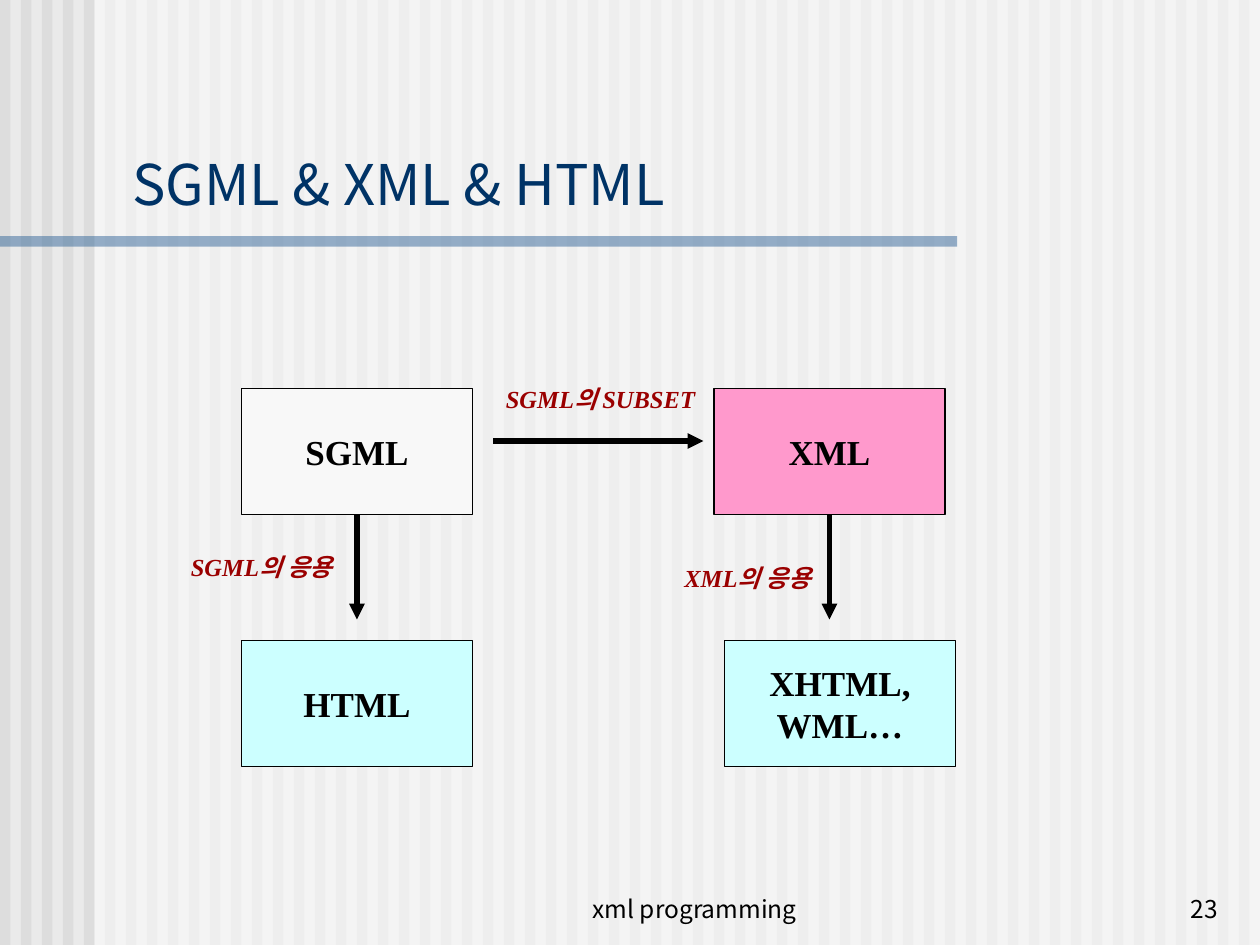
"""Build a slide that relates SGML, XML and HTML."""
import pptx
import pptx.dml.color
import pptx.enum.shapes
import pptx.enum.text
import pptx.oxml.ns
import pptx.util
import lxml.etree

Pt = pptx.util.Pt
RGBColor = pptx.dml.color.RGBColor
ALIGN = pptx.enum.text.PP_ALIGN
ANCHOR = pptx.enum.text.MSO_ANCHOR
qn = pptx.oxml.ns.qn

BLACK = RGBColor(0x00, 0x00, 0x00)
WHITE = RGBColor(0xFF, 0xFF, 0xFF)
PAPER = RGBColor(0xEA, 0xEA, 0xEA)
STRIPE = RGBColor(0xDD, 0xDD, 0xDD)
STEEL = RGBColor(0x33, 0x66, 0x99)
NAVY = RGBColor(0x00, 0x33, 0x66)
PEARL = RGBColor(0xF8, 0xF8, 0xF8)
AQUA = RGBColor(0xCC, 0xFF, 0xFF)
PINK = RGBColor(0xFF, 0x99, 0xCC)
RED = RGBColor(0x9A, 0x00, 0x00)

SANS = "Noto Sans CJK KR"
SERIF = "Times New Roman"
WIDE, HIGH = 720, 540
PITCH = 12


def write(shape, text, size, face=SANS, color=BLACK, bold=False, slant=False,
          align=ALIGN.LEFT, anchor=ANCHOR.TOP, wrap=True):
    frame = shape.text_frame
    frame.word_wrap = wrap
    frame.vertical_anchor = anchor
    frame.text = text
    for para in frame.paragraphs:
        para.alignment = align
        for run in para.runs:
            font = run.font
            font.name, font.size = face, Pt(size)
            font.bold, font.italic = bold, slant
            font.color.rgb = color
            east = lxml.etree.SubElement(run._r.get_or_add_rPr(), qn("a:ea"))
            east.set("typeface", SANS)


def add_text(slide, place, text, size, **style):
    box = slide.shapes.add_textbox(*map(Pt, place))
    write(box, text, size, **style)


def add_block(slide, place, fill, alpha=None):
    kind = pptx.enum.shapes.MSO_SHAPE.RECTANGLE
    block = slide.shapes.add_shape(kind, *map(Pt, place))
    block.shadow.inherit = False
    block.fill.solid()
    block.fill.fore_color.rgb = fill
    block.line.fill.background()
    if alpha:
        tint = block._element.spPr.find(".//" + qn("a:srgbClr"))
        lxml.etree.SubElement(tint, qn("a:alpha")).set("val", str(alpha * 1000))
    return block


def add_node(slide, left, top, text, fill):
    node = add_block(slide, (left, top, 132, 72), fill)
    node.line.color.rgb = BLACK
    node.line.width = Pt(0.75)
    write(node, text, 20, face=SERIF, bold=True, align=ALIGN.CENTER,
          anchor=ANCHOR.MIDDLE, wrap=False)


def add_arrow(slide, ends):
    kind = pptx.enum.shapes.MSO_CONNECTOR.STRAIGHT
    arrow = slide.shapes.add_connector(kind, *map(Pt, ends))
    arrow.line.color.rgb = BLACK
    arrow.line.width = Pt(3)
    tip = lxml.etree.SubElement(arrow.line._ln, qn("a:tailEnd"))
    tip.set("type", "triangle")
    lxml.etree.SubElement(arrow._element.spPr, qn("a:effectLst"))


def add_ground(slide):
    slide.background.fill.solid()
    slide.background.fill.fore_color.rgb = PAPER
    for left in range(0, WIDE, PITCH):
        add_block(slide, (left, 0, PITCH / 2, HIGH), STRIPE)
    add_block(slide, (54, 0, WIDE - 54, HIGH), WHITE, alpha=50)
    add_block(slide, (0, 135, 547, 6), STEEL, alpha=50)


def main():
    deck = pptx.Presentation()
    deck.slide_width, deck.slide_height = Pt(WIDE), Pt(HIGH)
    slide = deck.slides.add_slide(deck.slide_layouts[6])
    add_ground(slide)

    add_text(slide, (283, 495, 228, 36), "xml programming", 14,
             align=ALIGN.CENTER, anchor=ANCHOR.BOTTOM)
    add_text(slide, (553, 495, 150, 36), "23", 14,
             align=ALIGN.RIGHT, anchor=ANCHOR.BOTTOM)
    add_text(slide, (68.5, 67.5, 643, 60), "SGML & XML & HTML", 32,
             color=NAVY, anchor=ANCHOR.BOTTOM)

    for node in ((138, 222, "SGML", PEARL), (138, 366, "HTML", AQUA),
                 (414, 366, "XHTML,\nWML…", AQUA), (408, 222, "XML", PINK)):
        add_node(slide, *node)
    for ends in ((282, 252, 402, 252), (204, 294, 204, 354),
                 (474, 294, 474, 354)):
        add_arrow(slide, ends)
    for left, top, width, text in ((102, 312, 108, "SGML의 응용"),
                                   (384, 318, 108, "XML의 응용"),
                                   (282, 216, 144, "SGML의 SUBSET")):
        add_text(slide, (left, top, width, 24.5), text, 14, face=SERIF,
                 color=RED, bold=True, slant=True)
    deck.save("out.pptx")


if __name__ == "__main__":
    main()
